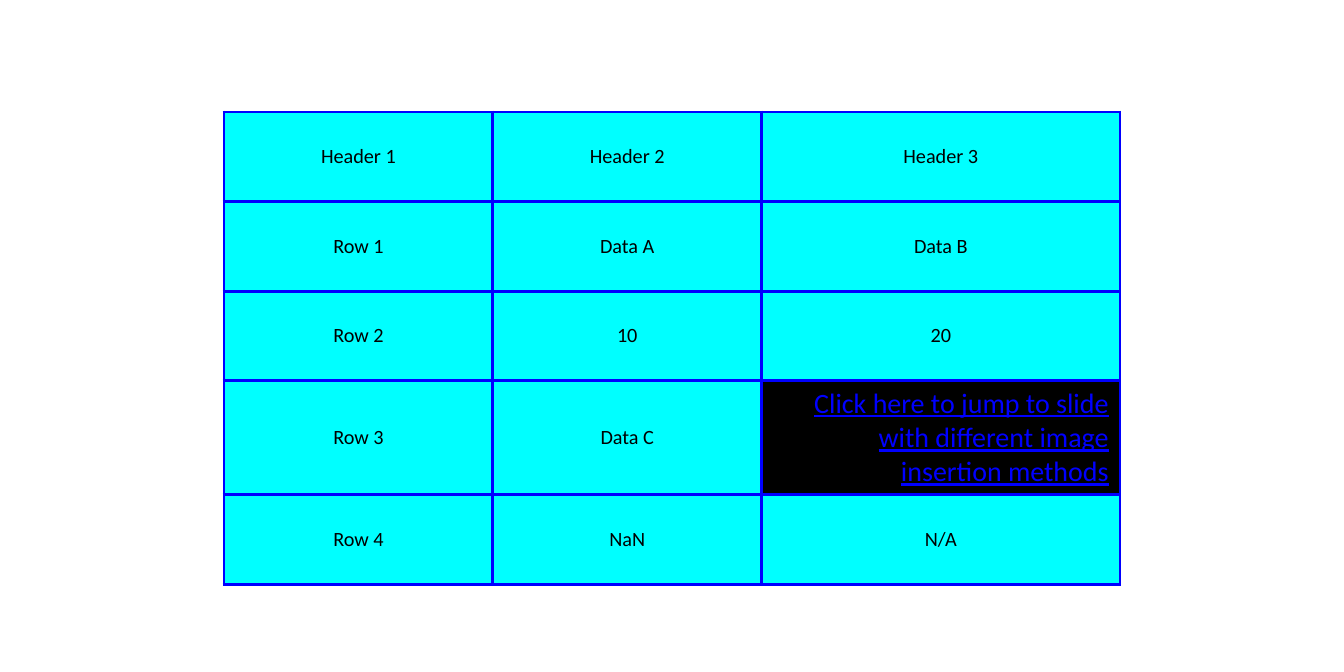
from lxml.etree import SubElement
from pptx import Presentation
from pptx.dml.color import RGBColor
from pptx.enum.text import MSO_ANCHOR as ANCHOR, PP_ALIGN as ALIGN
from pptx.oxml.ns import qn
from pptx.util import Inches, Pt

WIDTH, HEIGHT = Inches(12), Inches(6)
COLUMN_SHARES = (0.3, 0.3, 0.4)
ROWS = (
    ("Header 1", "Header 2", "Header 3"),
    ("Row 1", "Data A", "Data B"),
    ("Row 2", "10", "20"),
    ("Row 3", "Data C",
     "Click here to jump to slide with different image insertion methods"),
    ("Row 4", "NaN", "N/A"),
)
JUMP_CELL = (3, 2)
JUMP_FORMAT = dict(size=18, color="0000FF", underline=True,
                   align=ALIGN.RIGHT, anchor=ANCHOR.BOTTOM)


def rgb(value):
    """Turn a hex string into a colour."""
    return RGBColor.from_string(value)


def write(cell, text, size=13, color="000000", underline=False,
          align=ALIGN.CENTER, anchor=ANCHOR.MIDDLE):
    """Put formatted text in a table cell."""
    cell.vertical_anchor = anchor
    p = cell.text_frame.paragraphs[0]
    p.alignment = align
    r = p.add_run()
    r.text = text
    r.font.name = "Calibri"
    r.font.size = Pt(size)
    r.font.underline = underline
    r.font.color.rgb = rgb(color)


def add_borders(cell, color, width):
    """Draw a solid line on all four sides of a cell."""
    tc_pr = cell._tc.get_or_add_tcPr()
    for side in ("lnL", "lnR", "lnT", "lnB"):
        ln = SubElement(tc_pr, qn(f"a:{side}"), w=str(Pt(width)))
        fill = SubElement(ln, qn("a:solidFill"))
        SubElement(fill, qn("a:srgbClr"), val=color)


def paint(cell, color):
    """Fill a cell with one colour."""
    cell.fill.solid()
    cell.fill.fore_color.rgb = rgb(color)


def add_data_table(s):
    """Add the bordered table in the middle of the slide."""
    width, height = WIDTH * 2 // 3, HEIGHT * 2 // 3
    table = s.shapes.add_table(len(ROWS), len(COLUMN_SHARES), WIDTH // 6,
                               HEIGHT // 6, width, height).table
    table.first_row = table.horz_banding = False
    for column, share in zip(table.columns, COLUMN_SHARES):
        column.width = round(width * share)
    for i, texts in enumerate(ROWS):
        for j, text in enumerate(texts):
            cell = table.cell(i, j)
            is_jump = (i, j) == JUMP_CELL
            write(cell, text, **(JUMP_FORMAT if is_jump else {}))
            add_borders(cell, "0000FF", 2)
            paint(cell, "000000" if is_jump else "00FFFF")


def main():
    """Build and save the slide."""
    prs = Presentation()
    prs.slide_width, prs.slide_height = WIDTH, HEIGHT
    s = prs.slides.add_slide(prs.slide_layouts[6])
    add_data_table(s)
    prs.save("out.pptx")


if __name__ == "__main__":
    main()
